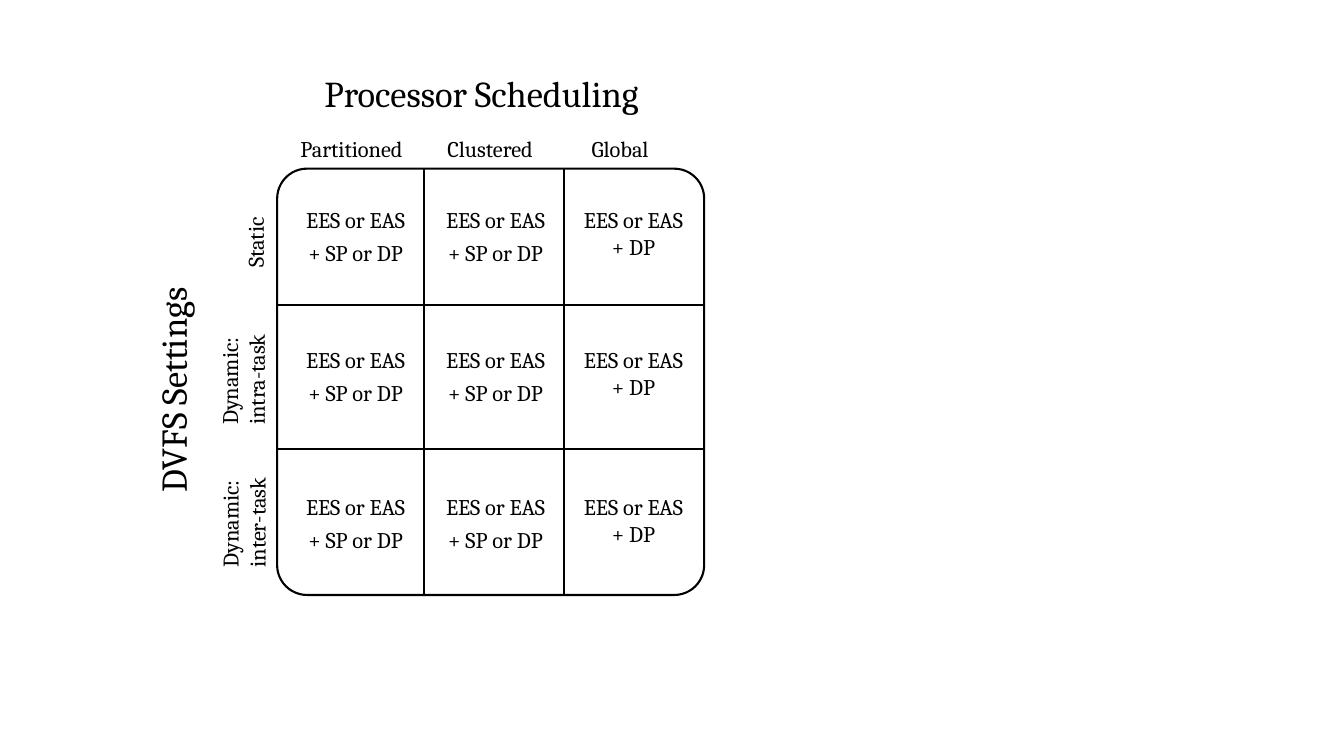
"""Build a slide with a matrix of DVFS settings against processor scheduling."""
from dataclasses import dataclass

from lxml import etree
from pptx import Presentation
from pptx.dml.color import RGBColor
from pptx.enum.shapes import MSO_CONNECTOR, MSO_SHAPE
from pptx.enum.text import MSO_ANCHOR, MSO_AUTO_SIZE, PP_ALIGN
from pptx.oxml.ns import qn
from pptx.util import Pt

STRAIGHT = MSO_CONNECTOR.STRAIGHT
ROUNDED_RECTANGLE = MSO_SHAPE.ROUNDED_RECTANGLE
TOP = MSO_ANCHOR.TOP
NO_AUTOFIT = MSO_AUTO_SIZE.NONE
LEFT = PP_ALIGN.LEFT
CENTER = PP_ALIGN.CENTER
TITLE_ONLY_LAYOUT = 5


@dataclass(frozen=True)
class Theme:
    """Hold the colour, font, type sizes and line width of the slide."""
    ink: RGBColor = RGBColor(0, 0, 0)
    font: str = "Cambria"
    heading_size: int = 26
    label_size: int = 16
    line_width: float = 1.5


THEME = Theme()
COLUMN_EDGES = (198, 303, 403, 503)
ROW_EDGES = (120.5, 218, 320.5, 425)
CORNER_RATIO = 0.07
CELL_TOPS = (144, 244, 349)

BOTH_PRIORITIES = "EES or EAS\n+ SP or DP"
DYNAMIC_PRIORITY = "EES or EAS\n+ DP"
CELL_COLUMNS = (
    (BOTH_PRIORITIES, 254, 97, 69, 1.2),
    (BOTH_PRIORITIES, 354, 97, 69, 1.2),
    (DYNAMIC_PRIORITY, 452.5, 136, 46, 1.0),
)
COLUMN_LABELS = (
    ("Partitioned", 207.5, 97),
    ("Clustered", 312.5, 86.5),
    ("Global", 415.5, 62),
)
ROW_LABELS = (
    ("Static", 148.5, 151, 68, 27),
    ("Dynamic: intra-task", 128.5, 242.5, 90, 46),
    ("Dynamic: inter-task", 129.5, 345, 89, 46),
)


def place(shape, left, top, width, height):
    """Move and size a shape, in points."""
    shape.left, shape.top = Pt(left), Pt(top)
    shape.width, shape.height = Pt(width), Pt(height)


def write(shape, text, size, alignment=LEFT, last_spacing=1.0):
    """Set and format the text of a shape."""
    frame = shape.text_frame
    frame.text = text
    frame.word_wrap = True
    frame.auto_size = NO_AUTOFIT
    frame.vertical_anchor = TOP
    for paragraph in frame.paragraphs:
        paragraph.alignment = alignment
        for run in paragraph.runs:
            run.font.name = THEME.font
            run.font.size = Pt(size)
            run.font.color.rgb = THEME.ink
    frame.paragraphs[-1].line_spacing = last_spacing


def add_label(slide, text, box, size=THEME.label_size, rotation=0, **text_format):
    """Add a text box, turned by the given angle."""
    label = slide.shapes.add_textbox(*map(Pt, box))
    label.rotation = rotation
    write(label, text, size, **text_format)


def format_line(line):
    """Give an outline or connector the theme's stroke."""
    line.color.rgb = THEME.ink
    line.width = Pt(THEME.line_width)


def add_divider(slide, start, end):
    """Add a straight line without a shadow between two points."""
    divider = slide.shapes.add_connector(STRAIGHT, *map(Pt, start + end))
    format_line(divider.line)
    etree.SubElement(divider._element.spPr, qn("a:effectLst"))


def add_grid(slide):
    """Add the rounded frame and its inner dividers."""
    left, right = COLUMN_EDGES[0], COLUMN_EDGES[-1]
    top, bottom = ROW_EDGES[0], ROW_EDGES[-1]
    frame = slide.shapes.add_shape(
        ROUNDED_RECTANGLE, Pt(left), Pt(top), Pt(right - left), Pt(bottom - top))
    frame.adjustments[0] = CORNER_RATIO
    frame.shadow.inherit = False
    frame.fill.background()
    format_line(frame.line)
    for row_edge in ROW_EDGES[1:-1]:
        add_divider(slide, (left, row_edge), (right, row_edge))
    for column_edge in COLUMN_EDGES[1:-1]:
        add_divider(slide, (column_edge, top), (column_edge, bottom))


def add_cells(slide):
    """Add the scheduling options in every cell of the grid."""
    for top in CELL_TOPS:
        for text, center, width, height, spacing in CELL_COLUMNS:
            add_label(slide, text, (center - width / 2, top, width, height),
                      alignment=CENTER, last_spacing=spacing)


def main():
    """Build and save the presentation."""
    presentation = Presentation()
    presentation.slide_width, presentation.slide_height = Pt(960), Pt(540)
    layout = presentation.slide_layouts[TITLE_ONLY_LAYOUT]
    slide = presentation.slides.add_slide(layout)

    title = slide.shapes.title
    place(title, 224.5, 47.5, 319, 39)
    write(title, "Processor Scheduling", THEME.heading_size)
    add_label(slide, "DVFS Settings", (11.5, 227, 224, 39),
              THEME.heading_size, rotation=270)
    for text, left, width in COLUMN_LABELS:
        add_label(slide, text, (left, 93, width, 27))
    for text, *box in ROW_LABELS:
        add_label(slide, text, box, rotation=270)
    add_grid(slide)
    add_cells(slide)
    presentation.save("out.pptx")


if __name__ == "__main__":
    main()
